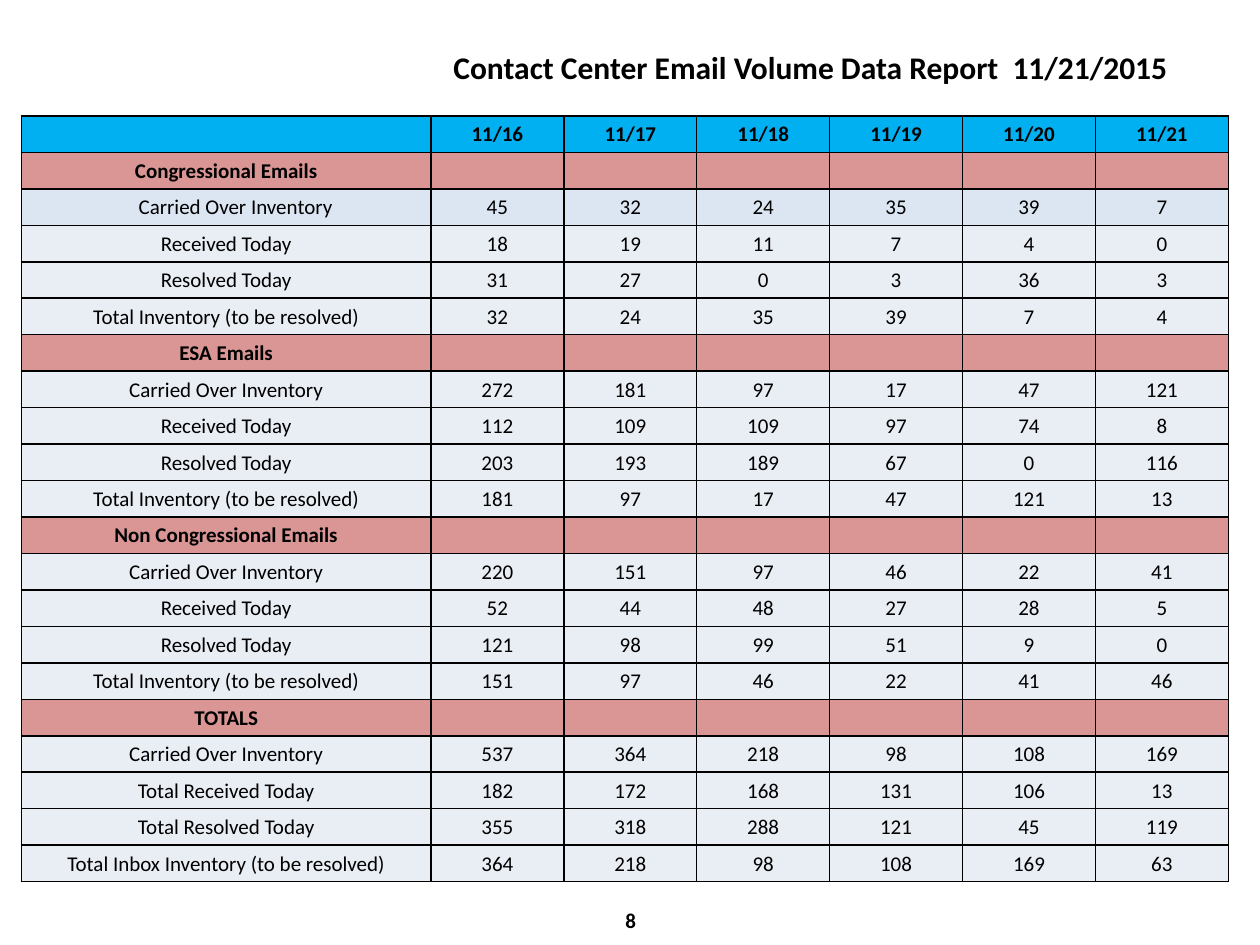
from dataclasses import dataclass

from lxml.etree import SubElement
from pptx import Presentation
from pptx.dml.color import RGBColor
from pptx.enum.text import MSO_ANCHOR as Anchor, PP_ALIGN as Align
from pptx.oxml.ns import qn
from pptx.util import Inches, Pt

FONT = "Calibri"
BLACK, SKY, ROSE, ICE, MIST = "000000", "00B0F0", "D99694", "DCE6F2", "E9EDF4"
LABEL_WIDTH, TABLE_WIDTH, TABLE_HEIGHT = 3.25, 9.58, 6.08
INDENT = 0.15


@dataclass
class Row:
    label: str
    values: tuple = ("",) * 6
    fill: str = MIST
    bold: bool = False
    indent: float = 0


@dataclass
class Label:
    text: str
    left: float
    top: float
    width: float
    height: float
    size: int
    align: Align
    anchor: Anchor


def section(title: str) -> Row:
    return Row(title, fill=ROSE, bold=True)


ROWS = [
    Row("", ("11/16", "11/17", "11/18", "11/19", "11/20", "11/21"), SKY, True),
    section("Congressional Emails"),
    Row("Carried Over Inventory", (45, 32, 24, 35, 39, 7), ICE, indent=INDENT),
    Row("Received Today", (18, 19, 11, 7, 4, 0)),
    Row("Resolved Today", (31, 27, 0, 3, 36, 3)),
    Row("Total Inventory (to be resolved)", (32, 24, 35, 39, 7, 4)),
    section("ESA Emails"),
    Row("Carried Over Inventory", (272, 181, 97, 17, 47, 121)),
    Row("Received Today", (112, 109, 109, 97, 74, 8)),
    Row("Resolved Today", (203, 193, 189, 67, 0, 116)),
    Row("Total Inventory (to be resolved)", (181, 97, 17, 47, 121, 13)),
    section("Non Congressional Emails"),
    Row("Carried Over Inventory", (220, 151, 97, 46, 22, 41)),
    Row("Received Today", (52, 44, 48, 27, 28, 5)),
    Row("Resolved Today", (121, 98, 99, 51, 9, 0)),
    Row("Total Inventory (to be resolved)", (151, 97, 46, 22, 41, 46)),
    section("TOTALS"),
    Row("Carried Over Inventory", (537, 364, 218, 98, 108, 169)),
    Row("Total Received Today", (182, 172, 168, 131, 106, 13)),
    Row("Total Resolved Today", (355, 318, 288, 121, 45, 119)),
    Row("Total Inbox Inventory (to be resolved)", (364, 218, 98, 108, 169, 63)),
]

LABELS = [
    Label("8", 3.42, 7.1, 3.17, 0.4, 12, Align.CENTER, Anchor.MIDDLE),
    Label("Contact Center Email Volume Data Report  11/21/2015",
          3.5, 0.33, 6.42, 0.4, 18, Align.LEFT, Anchor.TOP),
]


def color(value: str) -> RGBColor:
    return RGBColor.from_string(value)


def write(paragraph, text: str, size: int, bold: bool, align: Align) -> None:
    paragraph.alignment = align
    if not text:
        SubElement(paragraph._p, qn("a:endParaRPr"), sz=str(size * 100))
        return
    run = paragraph.add_run()
    run.text = text
    run.font.name = FONT
    run.font.size = Pt(size)
    run.font.bold = bold
    run.font.color.rgb = color(BLACK)


def add_borders(cell) -> None:
    properties = cell._tc.get_or_add_tcPr()
    for side in ("a:lnL", "a:lnR", "a:lnT", "a:lnB"):
        line = SubElement(properties, qn(side), w=str(Pt(1)))
        SubElement(SubElement(line, qn("a:solidFill")), qn("a:srgbClr"), val=BLACK)


def fill_cell(cell, text: str, row: Row, indent: float) -> None:
    cell.vertical_anchor = Anchor.MIDDLE
    cell.margin_left = Inches(0.01 + indent)
    cell.margin_right = cell.margin_top = Inches(0.01)
    cell.margin_bottom = 0
    add_borders(cell)
    cell.fill.solid()
    cell.fill.fore_color.rgb = color(row.fill)
    write(cell.text_frame.paragraphs[0], text, 12, row.bold, Align.CENTER)


def add_label(slide, label: Label) -> None:
    box = slide.shapes.add_textbox(Inches(label.left), Inches(label.top),
                                   Inches(label.width), Inches(label.height))
    frame = box.text_frame
    frame.word_wrap = True
    frame.vertical_anchor = label.anchor
    write(frame.paragraphs[0], label.text, label.size, True, label.align)


def add_report(slide, rows: list[Row]) -> None:
    day_count = len(rows[0].values)
    table = slide.shapes.add_table(
        len(rows), day_count + 1, Inches(0.17), Inches(0.92),
        Inches(TABLE_WIDTH), Inches(TABLE_HEIGHT)).table
    table.first_row = table.horz_banding = False
    for index, column in enumerate(table.columns):
        day_width = (TABLE_WIDTH - LABEL_WIDTH) / day_count
        column.width = Inches(day_width if index else LABEL_WIDTH)
    for row, table_row in zip(rows, table.rows):
        table_row.height = Inches(TABLE_HEIGHT / len(rows))
        for index, (cell, text) in enumerate(zip(table_row.cells, (row.label, *row.values))):
            fill_cell(cell, str(text), row, 0 if index else row.indent)


presentation = Presentation()
presentation.slide_width, presentation.slide_height = Inches(10), Inches(7.5)
slide = presentation.slides.add_slide(presentation.slide_layouts[6])
for label in LABELS:
    add_label(slide, label)
add_report(slide, ROWS)
presentation.save("out.pptx")
